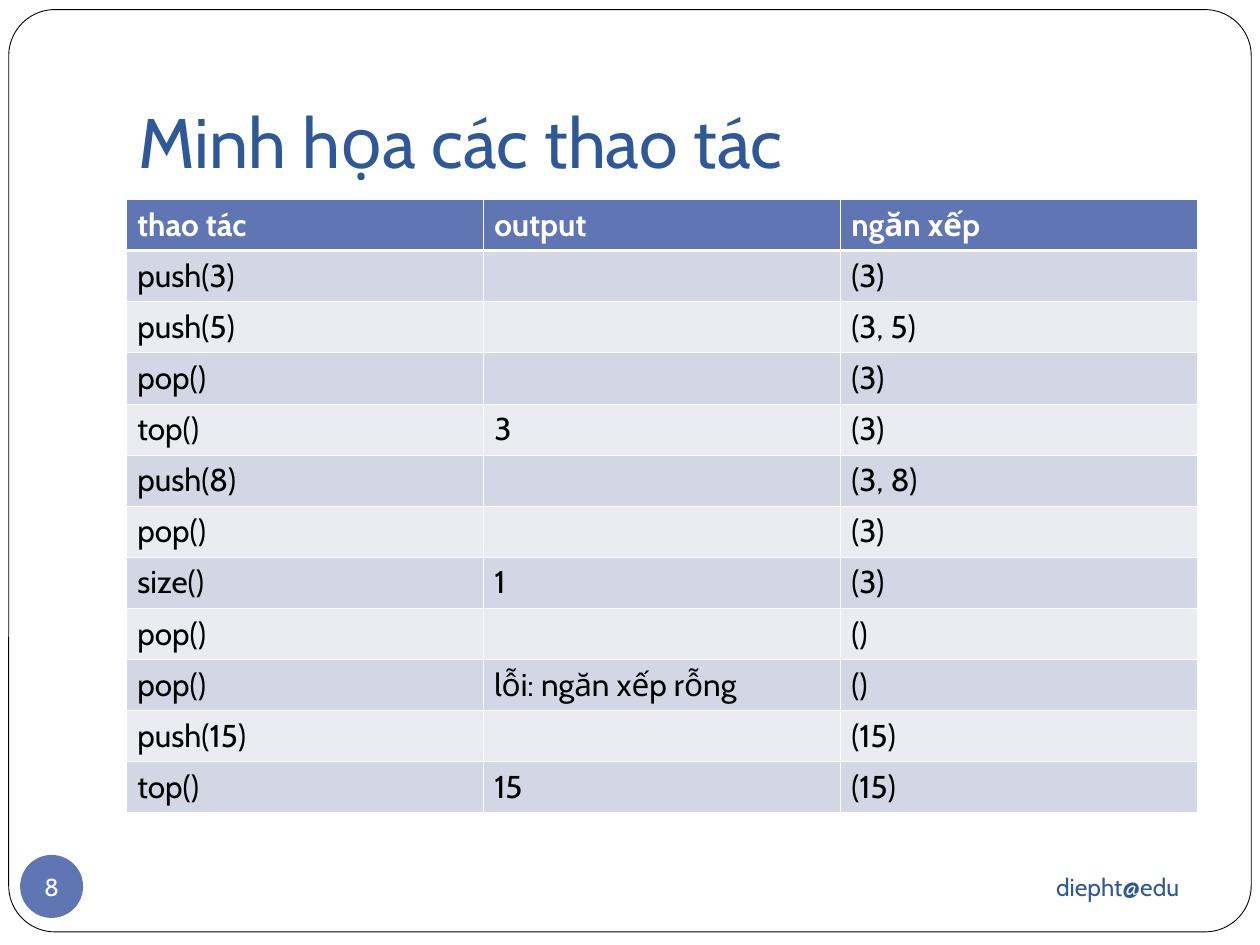
from lxml.etree import SubElement
from pptx import Presentation
from pptx.dml.color import RGBColor
from pptx.enum.shapes import MSO_SHAPE
from pptx.enum.text import MSO_ANCHOR, PP_ALIGN
from pptx.oxml.ns import qn
from pptx.util import Pt

FONT = "Cabin"
NAVY = RGBColor(0x2F, 0x58, 0x97)
BLUE = RGBColor(0x60, 0x76, 0xB4)
BAND_DARK = RGBColor(0xD2, 0xD6, 0xE5)
BAND_LIGHT = RGBColor(0xEA, 0xEC, 0xF2)
WHITE = RGBColor(0xFF, 0xFF, 0xFF)
BLACK = RGBColor(0, 0, 0)

THIN, THICK = Pt(0.45), Pt(1.47)

# Stack operations: call, output, stack afterwards
OPERATIONS = [
    ("thao tác", "output", "ngăn xếp"),
    ("push(3)", "", "(3)"),
    ("push(5)", "", "(3, 5)"),
    ("pop()", "", "(3)"),
    ("top()", "3", "(3)"),
    ("push(8)", "", "(3, 8)"),
    ("pop()", "", "(3)"),
    ("size()", "1", "(3)"),
    ("pop()", "", "()"),
    ("pop()", "lỗi: ngăn xếp rỗng", "()"),
    ("push(15)", "", "(15)"),
    ("top()", "15", "(15)"),
]


def set_all(target, values):
    for attribute, value in values.items():
        setattr(target, attribute, value)


def write(frame, text, size, color, align=PP_ALIGN.LEFT, bold=False, **layout):
    set_all(frame, {"word_wrap": True, **layout})
    paragraph = frame.paragraphs[0]
    paragraph.alignment = align
    run = paragraph.add_run()
    run.text = text
    set_all(run.font, {"name": FONT, "size": Pt(size), "bold": bold})
    run.font.color.rgb = color


def add_frame(slide, left, top, width, height):
    border = slide.shapes.add_shape(
        MSO_SHAPE.ROUNDED_RECTANGLE, Pt(left), Pt(top), Pt(width), Pt(height))
    border.shadow.inherit = False
    border.adjustments[0] = 0.05
    border.fill.solid()
    border.fill.fore_color.rgb = WHITE
    border.line.color.rgb = BLACK
    border.line.width = Pt(0.5)
    # Send behind the title
    slide.shapes._spTree.insert(2, border._element)


def add_title(slide, left, top, width, height):
    title = slide.shapes.title
    set_all(title, {"left": Pt(left), "top": Pt(top),
                    "width": Pt(width), "height": Pt(height)})
    write(title.text_frame, "Minh họa các thao tác", 40, NAVY,
          vertical_anchor=MSO_ANCHOR.BOTTOM, margin_bottom=Pt(7.2))


def set_borders(cell, widths):
    properties = cell._tc.get_or_add_tcPr()
    for position, (side, width) in enumerate(widths.items()):
        line = properties.makeelement(qn(f"a:{side}"), {"w": str(width)})
        fill = SubElement(line, qn("a:solidFill"))
        SubElement(fill, qn("a:srgbClr"), val=str(WHITE))
        properties.insert(position, line)  # borders precede the fill


def add_operations(slide, left, top, width, height):
    rows, columns = len(OPERATIONS), len(OPERATIONS[0])
    table = slide.shapes.add_table(
        rows, columns, Pt(left), Pt(top), Pt(width), Pt(height)).table
    for row in table.rows:
        row.height = Pt(height / rows)
    for r, operation in enumerate(OPERATIONS):
        header = r == 0
        band = BLUE if header else BAND_DARK if r % 2 else BAND_LIGHT
        for c, text in enumerate(operation):
            cell = table.cell(r, c)
            set_all(cell, {"margin_left": Pt(6.5), "margin_right": Pt(6.5),
                           "margin_top": Pt(3.6), "margin_bottom": Pt(3.6)})
            cell.fill.solid()
            cell.fill.fore_color.rgb = band
            set_borders(cell, {"lnL": THIN, "lnR": THIN,
                               "lnT": THICK if r == 1 else THIN,
                               "lnB": THICK if header else THIN})
            if text:
                write(cell.text_frame, text, 18,
                      WHITE if header else BLACK, bold=header)


def add_footer(slide, left, top, width, height):
    # Page number badge
    diameter = 36
    badge = slide.shapes.add_shape(
        MSO_SHAPE.OVAL, Pt(left), Pt(top + (height - diameter) / 2),
        Pt(diameter), Pt(diameter))
    badge.shadow.inherit = False
    badge.fill.solid()
    badge.fill.fore_color.rgb = BLUE
    badge.line.fill.background()
    write(badge.text_frame, "8", 14, WHITE, PP_ALIGN.CENTER, word_wrap=False,
          vertical_anchor=MSO_ANCHOR.MIDDLE, margin_left=0, margin_right=0,
          margin_top=0, margin_bottom=0)

    # Author, right-aligned
    author_width = 195
    author = slide.shapes.add_textbox(
        Pt(left + width - author_width), Pt(top), Pt(author_width), Pt(height))
    write(author.text_frame, "diepht@edu", 14, NAVY, PP_ALIGN.RIGHT,
          vertical_anchor=MSO_ANCHOR.MIDDLE)


def main():
    presentation = Presentation()
    set_all(presentation, {"slide_width": Pt(720), "slide_height": Pt(540)})
    slide = presentation.slides.add_slide(presentation.slide_layouts[5])
    add_frame(slide, 5, 5.5, 710, 527)
    add_title(slide, 72, 21.6, 612, 90)
    add_operations(slide, 72, 114, 612, 350.6)
    add_footer(slide, 11.5, 487.8, 669.5, 37.5)
    presentation.save("out.pptx")


if __name__ == "__main__":
    main()
